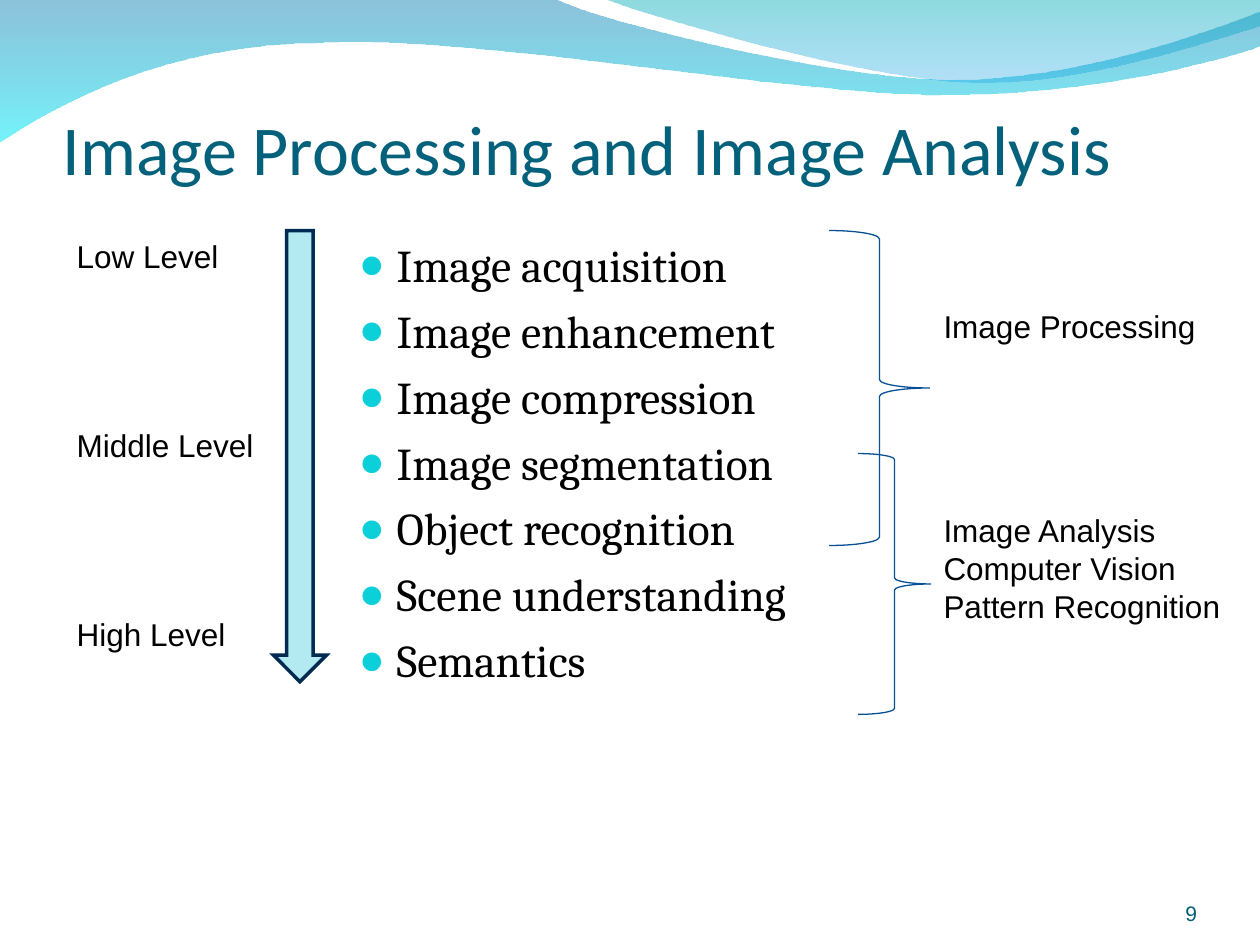
from dataclasses import dataclass

from lxml import etree
from pptx import Presentation
from pptx.dml.color import RGBColor
from pptx.enum.shapes import MSO_SHAPE
from pptx.enum.text import MSO_ANCHOR, PP_ALIGN
from pptx.oxml.ns import qn
from pptx.util import Inches, Pt

DOWN_ARROW, RIGHT_BRACE = MSO_SHAPE.DOWN_ARROW, MSO_SHAPE.RIGHT_BRACE
TOP, BOTTOM = MSO_ANCHOR.TOP, MSO_ANCHOR.BOTTOM
LEFT, RIGHT = PP_ALIGN.LEFT, PP_ALIGN.RIGHT
UNITS = 100  # outline units per inch


@dataclass(frozen=True)
class Theme:
    title_color: str = "04617B"
    text_color: str = "000000"
    number_color: str = "045C75"
    bullet_color: str = "0BD0D9"
    arrow_fill: str = "B3EAF2"
    arrow_line: str = "022B52"
    brace_line: str = "065093"
    title_font: str = "Calibri"
    body_font: str = "Cambria"
    label_font: str = "Arial"
    title_size: float = 40
    body_size: float = 26
    label_size: float = 18
    number_size: float = 12
    bullet_gap: float = 6.5


class SlideBuilder:
    def __init__(self, slide, theme):
        self.shapes = slide.shapes
        self.theme = theme

    def wave(self, start, segments, stops):
        """Closed outline; a segment is one line end or three curve points."""
        corners = [start] + [segment[-1] for segment in segments]
        scaled = [(x * UNITS, y * UNITS) for x, y in corners]
        builder = self.shapes.build_freeform(*scaled[0], scale=Inches(1) / UNITS)
        builder.add_line_segments(scaled[1:], close=True)
        shape = builder.convert_to_shape()
        self.bend(shape, corners, segments)
        shape.shadow.inherit = False
        shape.line.fill.background()
        shape.fill.gradient()
        shape.fill.gradient_angle = 270
        for stop, (color, _) in zip(shape.fill.gradient_stops, stops):
            stop.color.rgb = RGBColor.from_string(color)
        colors = shape._element.spPr.iter(qn("a:srgbClr"))
        for node, (_, opacity) in zip(list(colors), stops):
            etree.SubElement(node, qn("a:alpha")).set("val", str(opacity * 1000))

    def bend(self, shape, corners, segments):
        """Turn the straight sides that have control points into curves."""
        left, top = (min(values) for values in zip(*corners))
        sides = list(shape._element.spPr.iter(qn("a:lnTo")))
        for side, segment in zip(sides, segments):
            if len(segment) == 1:
                continue
            curve = etree.Element(qn("a:cubicBezTo"))
            for x, y in segment:
                point = etree.SubElement(curve, qn("a:pt"))
                point.set("x", str(round((x - left) * UNITS)))
                point.set("y", str(round((y - top) * UNITS)))
            side.getparent().replace(side, curve)

    def text(self, place, lines, font, size, color, anchor=TOP, align=LEFT,
             margins=(0.1, 0.05, 0.1, 0.05), bullets=False):
        frame = self.shapes.add_textbox(*map(Inches, place)).text_frame
        frame.word_wrap = True
        frame.vertical_anchor = anchor
        (frame.margin_left, frame.margin_top,
         frame.margin_right, frame.margin_bottom) = map(Inches, margins)
        for index, line in enumerate(lines):
            para = frame.add_paragraph() if index else frame.paragraphs[0]
            para.alignment = align
            if bullets:
                self.bullet(para)
                if index:
                    para.space_before = Pt(self.theme.bullet_gap)
            span = para.add_run()
            span.text = line
            span.font.name = font
            span.font.size = Pt(size)
            span.font.color.rgb = RGBColor.from_string(color)

    def bullet(self, para):
        props = para._p.get_or_add_pPr()
        props.set("marL", str(Inches(0.3)))
        props.set("indent", str(Inches(-0.3)))
        color = etree.SubElement(props, qn("a:buClr"))
        etree.SubElement(color, qn("a:srgbClr")).set("val", self.theme.bullet_color)
        etree.SubElement(props, qn("a:buSzPct")).set("val", "95000")
        etree.SubElement(props, qn("a:buFont")).set("typeface", self.theme.label_font)
        etree.SubElement(props, qn("a:buChar")).set("char", "●")

    def label(self, place, lines):
        self.text(place, lines, self.theme.label_font, self.theme.label_size,
                  self.theme.text_color)

    def preset(self, kind, place, line, weight, fill=None):
        shape = self.shapes.add_shape(kind, *map(Inches, place))
        shape.shadow.inherit = False
        shape.line.color.rgb = RGBColor.from_string(line)
        shape.line.width = Pt(weight)
        outline = shape._element.spPr.find(qn("a:ln"))
        etree.SubElement(outline, qn("a:miter")).set("lim", "800000")
        if fill:
            shape.fill.solid()
            shape.fill.fore_color.rgb = RGBColor.from_string(fill)
        else:
            shape.fill.background()


def main():
    deck = Presentation()
    deck.slide_width, deck.slide_height = Inches(10), Inches(7.5)
    theme = Theme()
    page = SlideBuilder(deck.slides.add_slide(deck.slide_layouts[6]), theme)

    # Waves along the top edge
    page.wave((0, -0.01), [
        [(4.4, -0.01)],
        [(4.76, 0.17), (6.64, 0.63), (7.58, 0.63)],
        [(8.53, 0.63), (9.58, 0.26), (10, 0.09)],
        [(10.01, 0.36)],
        [(9.83, 0.44), (8.7, 0.76), (7.46, 0.75)],
        [(6.22, 0.75), (3.82, 0.28), (2.57, 0.34)],
        [(1.29, 0.35), (0.46, 0.83), (-0.01, 1.13)],
    ], [("0079AF", 45), ("00EBF8", 55)])
    page.wave((4.79, -0.01), [
        [(5.09, 0.11), (6.82, 0.62), (7.69, 0.65)],
        [(8.56, 0.69), (9.61, 0.32), (10, 0.21)],
        [(10, 0)],
    ], [("00ADB6", 45), ("009BE5", 30)])

    # Title, topics and page number
    page.text((0.5, 0.58, 9, 0.92), ["Image Processing and Image Analysis"],
              theme.title_font, theme.title_size, theme.title_color,
              anchor=BOTTOM, margins=(0, 0.05, 0, 0))
    page.text((2.75, 1.83, 4.08, 5.08),
              ["Image acquisition", "Image enhancement", "Image compression",
               "Image segmentation", "Object recognition", "Scene understanding",
               "Semantics"],
              theme.body_font, theme.body_size, theme.text_color, bullets=True)
    page.text((8.67, 6.95, 0.83, 0.4), ["9"],
              theme.label_font, theme.number_size, theme.number_color,
              anchor=BOTTOM, align=RIGHT, margins=(0, 0, 0, 0))

    # Level scale
    page.preset(DOWN_ARROW, (2.17, 1.83, 0.42, 3.58), theme.arrow_line, 2, theme.arrow_fill)
    for index, level in enumerate(["Low Level", "Middle Level", "High Level"]):
        page.label((0.51, 1.83 + 1.5 * index, 1.65, 0.4), [level])

    # Braces with the fields they cover
    page.preset(RIGHT_BRACE, (6.58, 1.83, 0.8, 2.5), theme.brace_line, 0.75)
    page.label((7.39, 2.39, 2.5, 0.4), ["Image Processing"])
    page.preset(RIGHT_BRACE, (6.81, 3.6, 0.58, 2.07), theme.brace_line, 0.75)
    page.label((7.39, 4.01, 2.5, 1),
               ["Image Analysis", "Computer Vision", "Pattern Recognition"])

    deck.save("out.pptx")


if __name__ == "__main__":
    main()
